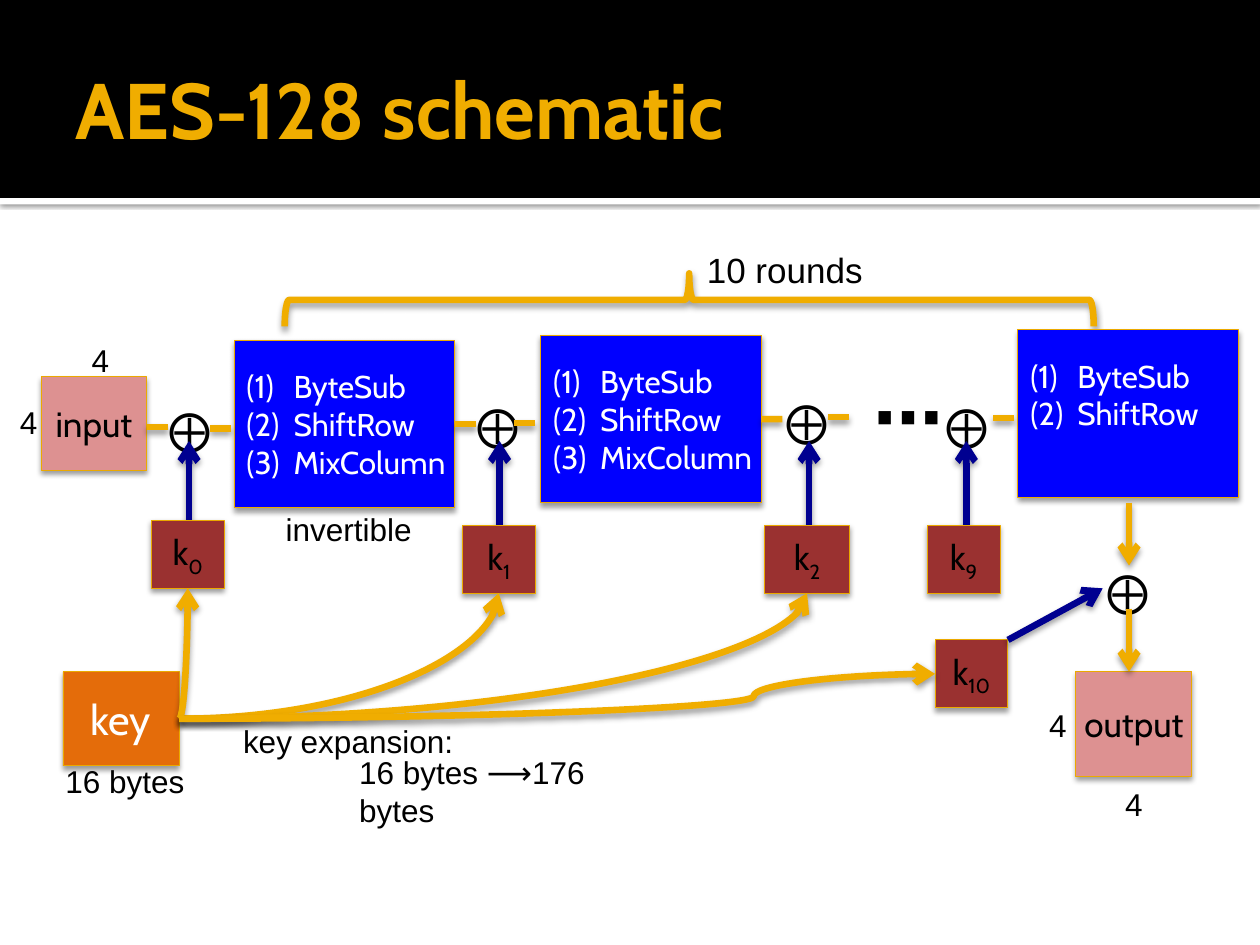
from dataclasses import dataclass
from typing import Any

from lxml.etree import SubElement
from pptx import Presentation
from pptx.dml.color import RGBColor
from pptx.enum.shapes import MSO_CONNECTOR as Link, MSO_SHAPE as Shape
from pptx.enum.text import MSO_ANCHOR as Anchor, MSO_AUTO_SIZE as Fit, PP_ALIGN as Align
from pptx.oxml.ns import qn
from pptx.util import Cm, Pt

COLORS = {
    "black": "000000", "white": "FFFFFF", "gold": "F0AD00", "edge": "EBA900",
    "state": "DD9191", "round": "0000FF", "subkey": "9A3130", "key": "E46C0A", "navy": "000090",
}
BOX_SHADOW = (38, 3.1, 2)
LINE_SHADOW = (38, 3.5, 2)
STRIP_SHADOW = (60, 2.5, 0.8)
TOP, LEFT, BOTTOM, RIGHT = range(4)


@dataclass
class Schematic:
    """Draws the parts of a cipher schematic on one page; lengths are in centimetres."""
    page: Any
    label_font: str = "Arial"
    box_font: str = "Cabin"
    stroke: float = 3.78

    def color(self, name):
        return RGBColor.from_string(COLORS[name])

    def font(self, para, name, size, color, bold=False):
        para.font.name, para.font.size, para.font.bold = name, Pt(size), bold
        para.font.color.rgb = self.color(color)

    def shadow(self, shape, style):
        effects = SubElement(shape._element.spPr, qn("a:effectLst"))
        if style:
            alpha, blur, distance = style
            outer = SubElement(effects, qn("a:outerShdw"), blurRad=str(Pt(blur)),
                               dist=str(Pt(distance)), dir="5400000", rotWithShape="0")
            tint = SubElement(outer, qn("a:srgbClr"), val=COLORS["black"])
            SubElement(tint, qn("a:alpha"), val=str(alpha * 1000))

    def rectangle(self, x, y, width, height, fill, edge="edge", shadow=BOX_SHADOW):
        box = self.page.shapes.add_shape(Shape.RECTANGLE, Cm(x), Cm(y), Cm(width), Cm(height))
        box.fill.solid()
        box.fill.fore_color.rgb = self.color(fill)
        if edge:
            box.line.color.rgb = self.color(edge)
            box.line.width = Pt(0.5)
        else:
            box.line.fill.background()
        self.shadow(box, shadow)
        return box

    def named_box(self, text, x, y, width, height, fill, size=20, color="black", inset=0.25, sub=""):
        box = self.rectangle(x, y, width, height, fill)
        frame = box.text_frame
        frame.margin_left = frame.margin_right = Cm(inset)
        frame.vertical_anchor = Anchor.MIDDLE
        para = frame.paragraphs[0]
        para.alignment = Align.CENTER
        self.font(para, self.box_font, size, color)
        para.add_run().text = text
        if sub:
            span = para.add_run()
            span.text = sub
            span._r.get_or_add_rPr().set("baseline", "-25000")
        return box

    def subkey(self, index, x, y, width=1.47):
        return self.named_box("k", x, y, width, 1.37, "subkey", sub=str(index))

    def round_box(self, steps, x, y, bottom=0.13):
        box = self.rectangle(x, y, 4.45, 3.38, "round")
        frame = box.text_frame
        frame.vertical_anchor = Anchor.MIDDLE
        frame.margin_right, frame.margin_bottom = Cm(0), Cm(bottom)
        for number, step in enumerate(steps):
            para = frame.add_paragraph() if number else frame.paragraphs[0]
            para.text = step
            para.alignment = Align.LEFT
            props = para._p.get_or_add_pPr()
            props.set("marL", str(Cm(0.95)))
            props.set("indent", str(-Cm(0.95)))
            SubElement(props, qn("a:buFont"), typeface="+mj-lt")
            SubElement(props, qn("a:buAutoNum"), type="arabicParenBoth")
            self.font(para, self.box_font, 18, "white")
        return box

    def label(self, text, x, y, width, height=1.02, size=18, bold=False, wrap=False):
        box = self.page.shapes.add_textbox(Cm(x), Cm(y), Cm(width), Cm(height))
        frame = box.text_frame
        frame.word_wrap, frame.auto_size = wrap, Fit.SHAPE_TO_FIT_TEXT
        frame.text = text
        self.font(frame.paragraphs[0], self.label_font, size, "black", bold)
        return box

    def xor(self, x, y):
        self.label("⨁", x, y, 1.24, 1.27, 24).rotation = 270

    def title(self, text, x, y, width, height):
        box = self.page.shapes.add_textbox(Cm(x), Cm(y), Cm(width), Cm(height))
        frame = box.text_frame
        frame.word_wrap, frame.vertical_anchor = True, Anchor.MIDDLE
        frame.text = text
        self.font(frame.paragraphs[0], self.box_font, 45, "gold", True)

    def brace(self, x, y, width, height):
        shape = self.page.shapes.add_shape(Shape.RIGHT_BRACE, Cm(x), Cm(y), Cm(width), Cm(height))
        shape.rotation = 270
        shape.fill.background()
        shape.line.color.rgb = self.color("gold")
        shape.line.width = Pt(self.stroke)
        self.shadow(shape, LINE_SHADOW)

    def line(self, x1, y1, x2, y2, color="gold", arrow=False, kind=Link.STRAIGHT):
        link = self.page.shapes.add_connector(kind, Cm(x1), Cm(y1), Cm(x2), Cm(y2))
        link.line.color.rgb = self.color(color)
        link.line.width = Pt(self.stroke)
        if arrow:
            SubElement(link.line._get_or_add_ln(), qn("a:tailEnd"), type="arrow")
        self.shadow(link, LINE_SHADOW)
        return link

    def curve(self, source, target, side, bend=None):
        link = self.line(0, 0, 1, 1, arrow=True, kind=Link.CURVE)
        link.begin_connect(source, RIGHT)
        link.end_connect(target, side)
        shape = link._element.spPr.find(qn("a:prstGeom"))
        if bend is None:
            shape.set("prst", "curvedConnector2")
        else:
            guides = shape.find(qn("a:avLst"))
            SubElement(guides, qn("a:gd"), name="adj1", fmla=f"val {round(bend * 100000)}")


def main():
    deck = Presentation()
    deck.slide_width, deck.slide_height = Cm(25.4), Cm(19.05)
    art = Schematic(deck.slides.add_slide(deck.slide_layouts[6]))

    art.rectangle(0, 3.99, 25.4, 0.13, "white", None, STRIP_SHADOW)
    art.rectangle(0, 0, 25.4, 3.99, "black", None, None)
    art.title("AES-128 schematic", 1.27, 0.43, 22.86, 3.48)

    art.named_box("input", 0.84, 7.59, 2.11, 1.9, "state")
    art.brace(13.36, -2.11, 1.07, 16.31)
    art.label("10 rounds", 14, 4.88, 3.68, 1.12, 20)

    steps = ["ByteSub", "ShiftRow", "MixColumn"]
    first = art.round_box(steps, 4.72, 6.86)
    second = art.round_box(steps, 10.9, 6.76)
    art.round_box(steps[:2], 20.52, 6.65, bottom=0.9)

    for x, y in [(3.1, 8.15), (9.32, 8.08), (15.54, 8), (18.77, 8.08), (22.02, 11.43)]:
        art.xor(x, y)
    art.label("⋯", 17.35, 7.39, 1.7, 1.96, 40, bold=True)

    for x, y in [(2.97, 8.61), (4.24, 8.64), (10.36, 8.53), (16.69, 8.41), (20.02, 8.43)]:
        art.line(x, y, x + 0.42, y)
    for box, x, y in [(first, 9.17, 8.55), (second, 15.35, 8.45)]:
        art.line(x, y, x + 0.42, y).begin_connect(box, RIGHT)

    for x in (3.81, 10.07, 16.31, 19.48):
        art.line(x, 10.92, x, 8.89, "navy", arrow=True)
    k0 = art.subkey(0, 3.05, 10.49)
    k1 = art.subkey(1, 9.32, 10.59)
    k2 = art.subkey(2, 15.42, 10.59, 1.7)
    art.subkey(9, 18.69, 10.59)
    k10 = art.subkey(10, 18.85, 12.9)

    art.named_box("output", 21.69, 13.54, 2.34, 2.11, "state", inset=0)
    for y in (10.13, 12.27):
        art.line(22.76, y, 22.76, y + 1.27, arrow=True)
    art.line(20.32, 12.9, 22.23, 11.86, "navy", arrow=True)
    for x, y in [(1.6, 6.76), (0.15, 8), (22.43, 15.7), (20.9, 14.1)]:
        art.label("4", x, y, 0.86)

    key = art.named_box("key", 1.27, 13.54, 2.34, 1.9, "key", 24, "white")
    for subkey in (k1, k2, k0):
        art.curve(key, subkey, BOTTOM)
    art.curve(key, k10, LEFT, 0.76)

    art.label("16 bytes", 1.07, 15.24, 2.95)
    art.label("key expansion:", 4.65, 14.43, 4.78)
    art.label("invertible", 5.51, 10.16, 3.07)
    art.label("16 bytes ⟶176 bytes", 6.99, 15.06, 6.65, wrap=True)
    deck.save("out.pptx")


if __name__ == "__main__":
    main()
